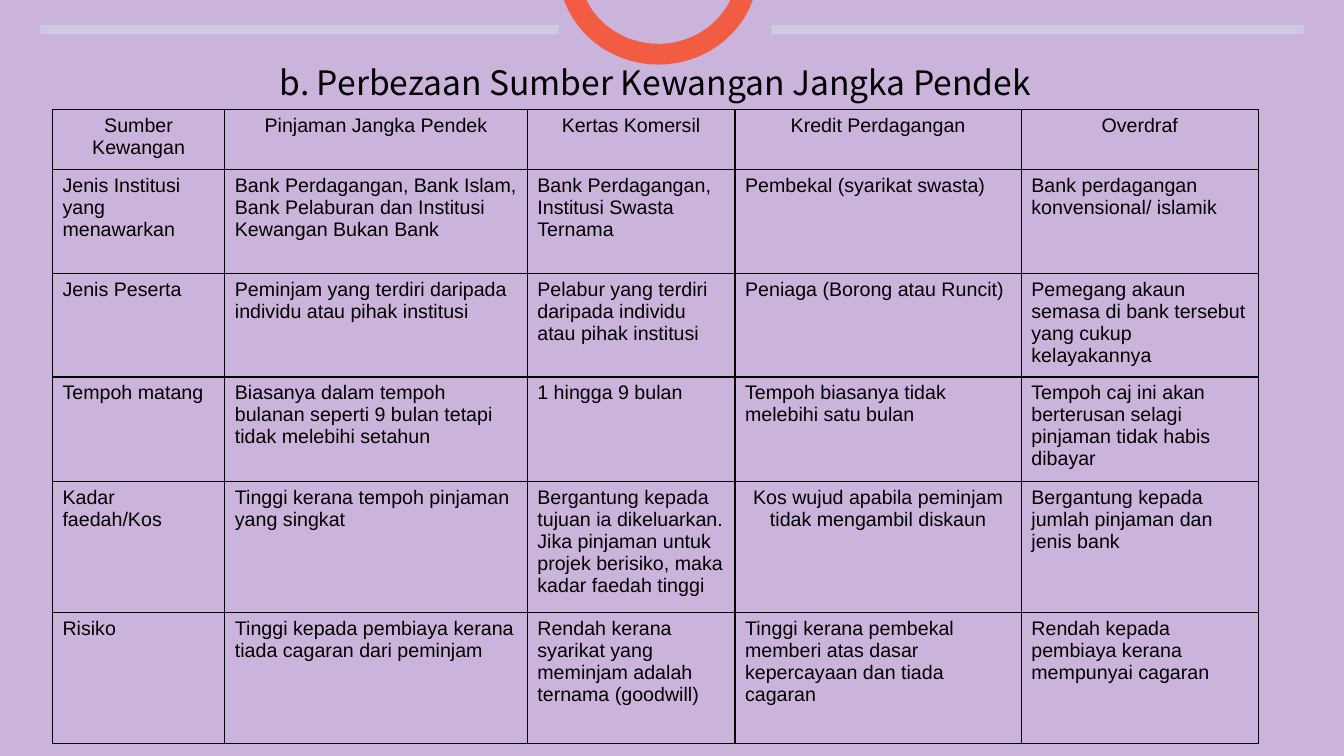
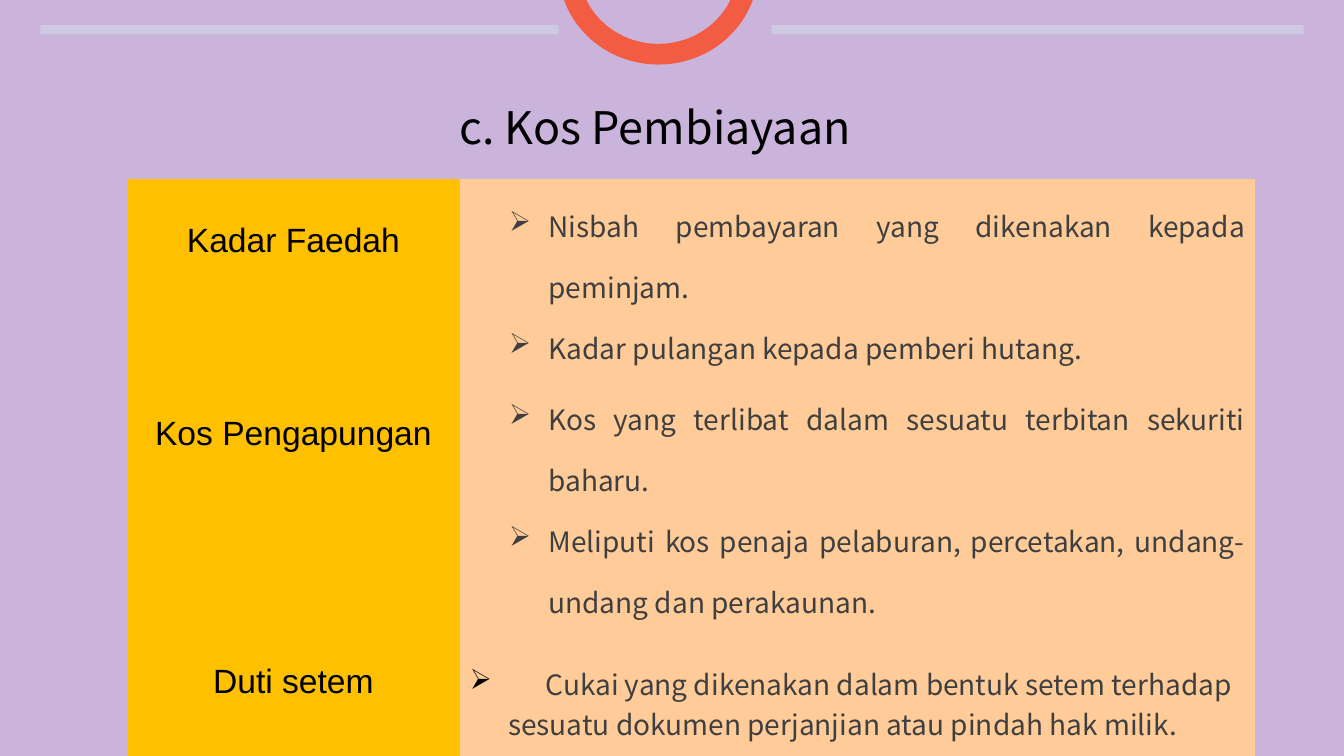
from lxml import etree
from pptx import Presentation
from pptx import util as u
from pptx.dml.color import RGBColor
from pptx.enum import shapes, text
from pptx.oxml import ns

IN = u.Inches
NOTO, ARIAL = "Noto Sans CJK SC", "Arial"
BLACK, GREY = "000000", "3F3F3F"
BACK, RING, BAR = "CBB4DC", "F25C42", "CDCAE2"
GOLD, PEACH = "FFC000", "FFCC99"
NO_STYLE = "{2D5ABB26-0587-4C30-8999-92F81FD0307C}"
LEFT, MID, JUST = (text.PP_ALIGN.LEFT, text.PP_ALIGN.CENTER,
                   text.PP_ALIGN.JUSTIFY)

COLS = [1.71, 3, 2.06, 2.84, 2.35]
ROWS = [0.59, 1.03, 1.03, 1.04, 1.3, 1.3]
SOURCES = [
    ["Sumber Kewangan", "Pinjaman Jangka Pendek", "Kertas Komersil",
     "Kredit Perdagangan", "Overdraf"],
    ["Jenis Institusi yang menawarkan",
     "Bank Perdagangan, Bank Islam, Bank Pelaburan dan Institusi "
     "Kewangan Bukan Bank",
     "Bank Perdagangan,\nInstitusi Swasta Ternama",
     "Pembekal (syarikat swasta)",
     "Bank perdagangan konvensional/ islamik"],
    ["Jenis Peserta",
     "Peminjam yang terdiri daripada individu atau pihak institusi",
     "Pelabur yang terdiri daripada individu atau pihak institusi",
     "Peniaga (Borong atau Runcit)",
     "Pemegang akaun semasa di bank tersebut yang cukup kelayakannya"],
    ["Tempoh matang",
     "Biasanya dalam tempoh bulanan seperti 9 bulan tetapi tidak "
     "melebihi setahun",
     "1 hingga 9 bulan",
     "Tempoh biasanya tidak melebihi satu bulan",
     "Tempoh caj ini akan berterusan selagi pinjaman tidak habis dibayar"],
    ["Kadar faedah/Kos",
     "Tinggi kerana tempoh pinjaman yang singkat",
     "Bergantung kepada tujuan ia dikeluarkan. Jika pinjaman untuk projek "
     "berisiko, maka kadar faedah tinggi",
     "Kos wujud apabila peminjam tidak mengambil diskaun",
     "Bergantung kepada jumlah pinjaman dan jenis bank"],
    ["Risiko",
     "Tinggi kepada pembiaya kerana tiada cagaran dari peminjam",
     "Rendah kerana syarikat yang meminjam adalah ternama (goodwill)",
     "Tinggi kerana pembekal memberi atas dasar kepercayaan dan tiada "
     "cagaran",
     "Rendah kepada pembiaya kerana mempunyai cagaran"],
]
COSTS = [
    ("Kadar Faedah",
     "Nisbah pembayaran yang dikenakan kepada peminjam.\n"
     "Kadar pulangan kepada pemberi hutang."),
    ("Kos Pengapungan",
     "Kos yang terlibat dalam sesuatu terbitan sekuriti baharu.\n"
     "Meliputi kos penaja pelaburan, percetakan, undang-undang dan "
     "perakaunan."),
    ("Duti setem",
     "\tCukai yang dikenakan dalam bentuk setem terhadap sesuatu dokumen "
     "perjanjian atau pindah hak milik."),
]


def rgb(code):
    return RGBColor.from_string(code)


def box(*nums):
    return [IN(n) for n in nums]


def paint(item, code):
    item.fill.solid()
    item.fill.fore_color.rgb = rgb(code)


def sub(root, tag, **attrs):
    return etree.SubElement(root, ns.qn(tag), attrs)


def style(par, size, face, code=BLACK, align=LEFT):
    par.alignment = align
    par.font.size = u.Pt(size)
    par.font.name = face
    par.font.color.rgb = rgb(code)


# Shared look
def dress(layout, slide):
    """Give the layout its background, ring and bars."""
    paint(layout.background, BACK)
    kinds = shapes.MSO_SHAPE
    parts = [(kinds.DONUT, RING, (5.54, -1.26, 1.98, 1.9)),
             (kinds.RECTANGLE, BAR, (0.4, 0.25, 5.14, 0.09)),
             (kinds.RECTANGLE, BAR, (7.65, 0.25, 5.28, 0.09))]
    for num, (kind, code, area) in enumerate(parts, 50):
        part = slide.shapes.add_shape(kind, *box(*area))
        part.shadow.inherit = False
        paint(part, code)
        part.line.fill.background()
        if kind == kinds.DONUT:
            part.adjustments[0] = 0.108
        part.element.nvSpPr.cNvPr.set("id", str(num))
        layout.shapes.element.append(part.element)


def head(slide, words, size, area):
    title = slide.shapes.title
    title.left, title.top, title.width, title.height = box(*area)
    frame = title.text_frame
    frame.text = words
    frame.auto_size = text.MSO_AUTO_SIZE.NONE
    frame.vertical_anchor = text.MSO_ANCHOR.MIDDLE
    style(frame.paragraphs[0], size, NOTO, align=MID)


# Tables
def grid(slide, left, top, cols, rows):
    frame = slide.shapes.add_table(
        len(rows), len(cols), *box(left, top, sum(cols), sum(rows)))
    table = frame.table
    table.first_row = table.horz_banding = False
    for mark in frame.element.iter(ns.qn("a:tableStyleId")):
        mark.text = NO_STYLE
    for col, wide in zip(table.columns, cols):
        col.width = IN(wide)
    for row, high in zip(table.rows, rows):
        row.height = IN(high)
    return table


def edge(cell):
    """Draw a thin black line on each side of a cell."""
    props = cell._tc.get_or_add_tcPr()
    for spot, side in enumerate(("a:lnL", "a:lnR", "a:lnT", "a:lnB")):
        line = sub(props, side, w=str(u.Pt(1)))
        sub(sub(line, "a:solidFill"), "a:srgbClr", val=BLACK)
        props.insert(spot, line)


def bullet(par, code, left, hang, stops=()):
    props = par._p.get_or_add_pPr()
    props.set("marL", str(IN(left)))
    props.set("indent", str(-IN(hang)))
    sub(sub(props, "a:buClr"), "a:srgbClr", val=code)
    sub(props, "a:buChar", char="➢")
    if stops:
        tabs = sub(props, "a:tabLst")
        for stop in stops:
            sub(tabs, "a:tab", pos=str(IN(stop)), algn="l")


# Slides
def sources(slide):
    head(slide, "b. Perbezaan Sumber Kewangan Jangka Pendek", 24,
         (1.77, 0.56, 9.46, 0.5))
    table = grid(slide, 0.52, 1.09, COLS, ROWS)
    for r, line in enumerate(SOURCES):
        for c, words in enumerate(line):
            cell = table.cell(r, c)
            cell.text = words
            cell.fill.background()
            edge(cell)
            align = MID if r == 0 or (r, c) == (4, 3) else LEFT
            for par in cell.text_frame.paragraphs:
                style(par, 14, ARIAL, align=align)


def costs(slide):
    head(slide, "c. Kos Pembiayaan", 32, (4.4, 0.94, 4.2, 0.64))
    table = grid(slide, 1.26, 1.78, [3.3, 7.89], [1.91, 2.83, 0.98])
    for r, (name, notes) in enumerate(COSTS):
        last = r == len(COSTS) - 1
        label, body = table.cell(r, 0), table.cell(r, 1)
        label.text, body.text = name, notes
        paint(label, GOLD)
        paint(body, PEACH)
        if not last:
            label.margin_top = IN(0.42)
        style(label.text_frame.paragraphs[0], 24, ARIAL, align=MID)
        for par in body.text_frame.paragraphs:
            if last:
                bullet(par, BLACK, 0.38, 0.38, (0.37, 0.75))
            else:
                bullet(par, GREY, 0.78, 0.39)
                par.line_spacing = 1.5
            style(par, 20, NOTO, GREY, LEFT if last else JUST)


def main():
    deck = Presentation()
    deck.slide_width, deck.slide_height = box(13.33, 7.5)
    layout = deck.slide_layouts[5]
    first, second = [deck.slides.add_slide(layout) for _ in range(2)]
    dress(layout, first)
    sources(first)
    costs(second)
    deck.save("out.pptx")


if __name__ == "__main__":
    main()
